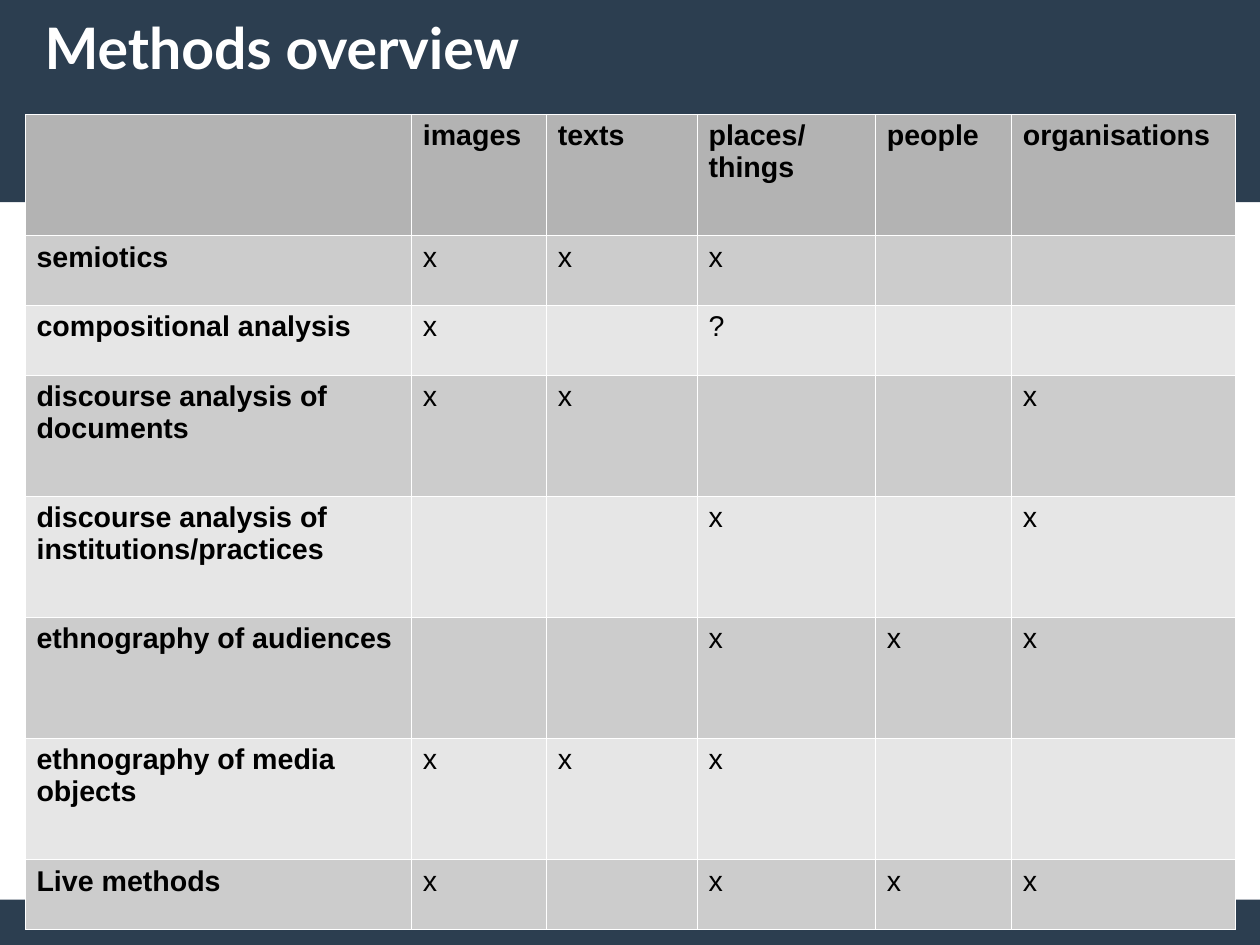
from lxml import etree
from pptx import Presentation
from pptx.dml.color import RGBColor
from pptx.enum import shapes, text
from pptx.oxml import ns
from pptx.util import Inches, Pt

COLOURS = {
    "band": "2C3E50",
    "white": "FFFFFF",
    "text": "000000",
    "header": "B3B3B3",
    "odd": "CCCCCC",
    "even": "E6E6E6",
}
# The page measures 28 by 21 centimetres.
SLIDE_WIDTH, SLIDE_HEIGHT = 28 / 2.54, 21 / 2.54
COLUMN_WIDTHS = [3.38, 1.18, 1.32, 1.56, 1.19, 1.96]
TALL, SHORT = 1.06, 0.61
HEADINGS = ["", "images", "texts", "places/things", "people", "organisations"]
METHODS = [
    (SHORT, ["semiotics", "x", "x", "x", "", ""]),
    (SHORT, ["compositional analysis", "x", "", "?", "", ""]),
    (TALL, ["discourse analysis of documents", "x", "x", "", "", "x"]),
    (TALL, ["discourse analysis of institutions/practices", "", "", "x", "", "x"]),
    (TALL, ["ethnography of audiences", "", "", "x", "x", "x"]),
    (TALL, ["ethnography of media objects", "x", "x", "x", "", ""]),
    (SHORT, ["Live methods", "x", "", "x", "x", "x"]),
]


def colour(name):
    return RGBColor.from_string(COLOURS[name])


def format_font(font, name, size, colour_name, bold):
    font.name = name
    font.size = Pt(size)
    font.bold = bold
    font.color.rgb = colour(colour_name)


def add_band(slide, top, height):
    band = slide.shapes.add_shape(
        shapes.MSO_SHAPE.RECTANGLE,
        Inches(0), Inches(top), Inches(SLIDE_WIDTH), Inches(height),
    )
    band.shadow.inherit = False
    band.fill.solid()
    band.fill.fore_color.rgb = colour("band")
    band.line.fill.background()


def place_title(slide, wording):
    """Fill the title placeholder and bring it in front of the bands."""
    title = slide.shapes.title
    title.left, title.top = Inches(0.39), Inches(-0.28)
    title.width, title.height = Inches(9.92), Inches(1.38)
    frame = title.text_frame
    frame.text = wording
    frame.word_wrap = True
    frame.vertical_anchor = text.MSO_ANCHOR.MIDDLE
    frame.margin_left = frame.margin_right = 0
    frame.margin_top = frame.margin_bottom = 0
    paragraph = frame.paragraphs[0]
    paragraph.alignment = text.PP_ALIGN.LEFT
    format_font(paragraph.runs[0].font, "Lato", 36, "white", True)
    title.element.getparent().append(title.element)


def add_borders(cell):
    """Draw hairlines on all four sides; they must precede the fill."""
    properties = cell._tc.get_or_add_tcPr()
    for index, side in enumerate(["lnL", "lnR", "lnT", "lnB"]):
        line = etree.Element(ns.qn(f"a:{side}"), w=str(Pt(0.06)))
        fill = etree.SubElement(line, ns.qn("a:solidFill"))
        etree.SubElement(fill, ns.qn("a:srgbClr"), val=COLOURS["white"])
        properties.insert(index, line)


def fill_cell(cell, wording, fill_name, bold):
    cell.margin_left = cell.margin_right = Inches(0.1)
    cell.margin_top = cell.margin_bottom = Inches(0.05)
    cell.fill.solid()
    cell.fill.fore_color.rgb = colour(fill_name)
    add_borders(cell)
    paragraph = cell.text_frame.paragraphs[0]
    paragraph.text = wording
    for run in paragraph.runs:
        format_font(run.font, "Arial", 18, "text", bold)


def add_methods_table(slide):
    rows = [(TALL, HEADINGS)] + METHODS
    table = slide.shapes.add_table(
        len(rows), len(COLUMN_WIDTHS), Inches(0.22), Inches(1),
        Inches(sum(COLUMN_WIDTHS)), Inches(sum(height for height, _ in rows)),
    ).table
    for column, width in zip(table.columns, COLUMN_WIDTHS):
        column.width = Inches(width)
    for row_index, (height, wordings) in enumerate(rows):
        row = table.rows[row_index]
        row.height = Inches(height)
        fill_name = "odd" if row_index % 2 else "even"
        if row_index == 0:
            fill_name = "header"
        for column_index, wording in enumerate(wordings):
            bold = row_index == 0 or column_index == 0
            fill_cell(row.cells[column_index], wording, fill_name, bold)


def main():
    presentation = Presentation()
    presentation.slide_width = Inches(SLIDE_WIDTH)
    presentation.slide_height = Inches(SLIDE_HEIGHT)
    slide = presentation.slides.add_slide(presentation.slide_layouts[5])
    add_band(slide, 7.87, SLIDE_HEIGHT - 7.87)
    add_band(slide, 0, 1.77)
    add_methods_table(slide)
    place_title(slide, "Methods overview")
    presentation.save("out.pptx")


if __name__ == "__main__":
    main()
